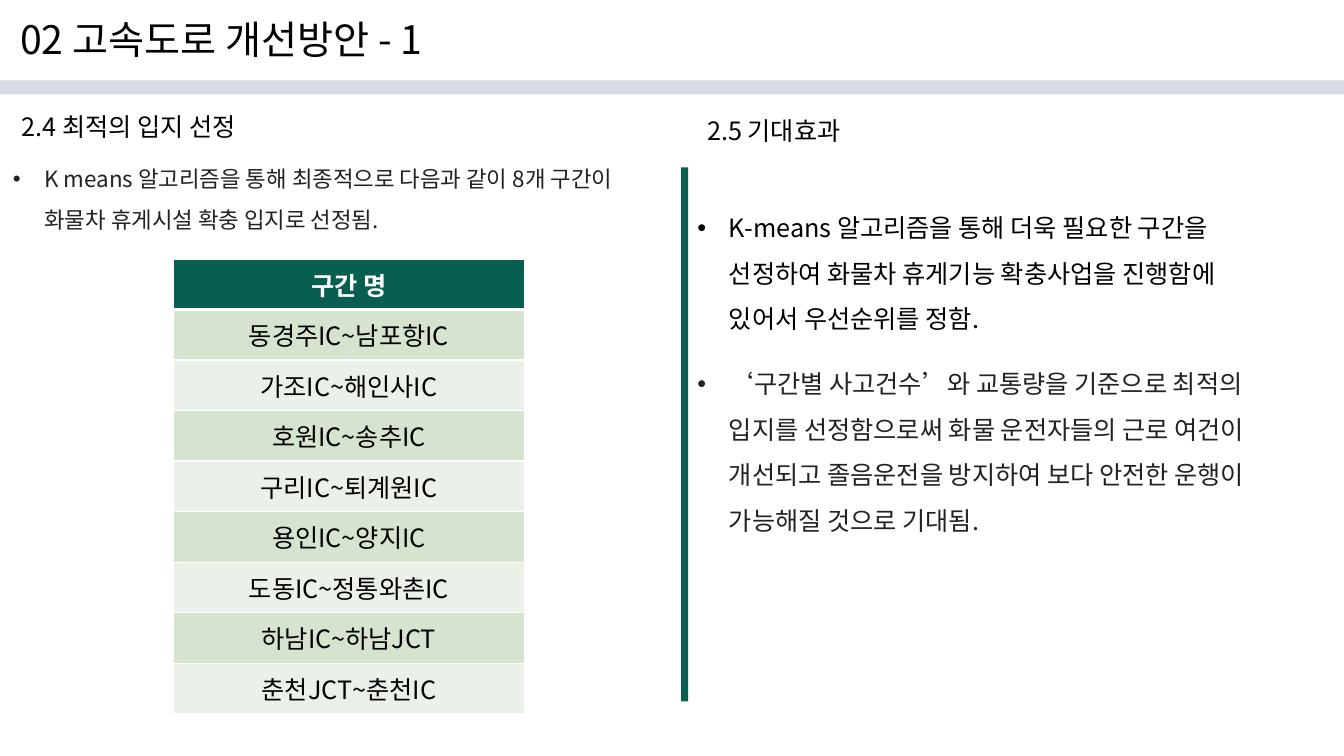
from dataclasses import dataclass

from lxml.etree import SubElement
from pptx import Presentation
from pptx.dml.color import RGBColor
from pptx.enum.shapes import MSO_SHAPE
from pptx.enum.text import MSO_ANCHOR, MSO_AUTO_SIZE, PP_ALIGN
from pptx.oxml import parse_xml
from pptx.oxml.ns import nsdecls, qn
from pptx.util import Pt

FONT = "Noto Sans CJK KR"
COLORS = {
    "black": "000000",
    "ink": "222222",
    "white": "FFFFFF",
    "green": "085F4F",
    "band_dark": "D5E3CF",
    "band_light": "EBF1E9",
    "rule": "D6DCE5",
}


@dataclass(frozen=True)
class Box:
    left: float
    top: float
    width: float
    height: float

    def points(self) -> tuple:
        return Pt(self.left), Pt(self.top), Pt(self.width), Pt(self.height)


@dataclass(frozen=True)
class Bar:
    box: Box
    color: str


@dataclass(frozen=True)
class Passage:
    box: Box
    text: str
    size: float
    color: str = "black"
    bullet: bool = False


BARS = [
    Bar(Box(0, 57.5, 960, 10), "rule"),
    Bar(Box(486.5, 119.5, 5, 381.5), "green"),
]
TITLE = Passage(Box(7.2, 7.2, 328.5, 41), "02 고속도로 개선방안 - 1", 28)
HEADINGS = [
    Passage(Box(8.6, 76, 235, 29), "2.4 최적의 입지 선정", 18),
    Passage(Box(498, 78.5, 211, 29), "2.5 기대효과", 18),
]
# Keyed by placeholder index in the Comparison layout
LISTS = {
    2: Passage(
        Box(2, 105, 469, 62),
        "K means 알고리즘을 통해 최종적으로 다음과 같이 8개 구간이 "
        "화물차 휴게시설 확충 입지로 선정됨.",
        16, "ink", True),
    3: Passage(
        Box(491, 137.5, 405.5, 101.5),
        "K-means 알고리즘을 통해 더욱 필요한 구간을 선정하여 화물차 "
        "휴게기능 확충사업을 진행함에 있어서 우선순위를 정함.",
        18, "black", True),
    4: Passage(
        Box(491, 249, 455, 134.5),
        "‘구간별 사고건수’와 교통량을 기준으로 최적의 입지를 선정함으로써 "
        "화물 운전자들의 근로 여건이 개선되고 졸음운전을 방지하여 보다 "
        "안전한 운행이 가능해질 것으로 기대됨.",
        18, "ink", True),
}
SECTION_BOX = Box(124, 185, 250.5, 324.9)
SECTIONS = [
    "구간 명",
    "동경주IC~남포항IC",
    "가조IC~해인사IC",
    "호원IC~송추IC",
    "구리IC~퇴계원IC",
    "용인IC~양지IC",
    "도동IC~정통와촌IC",
    "하남IC~하남JCT",
    "춘천JCT~춘천IC",
]


def rgb(name: str) -> RGBColor:
    return RGBColor.from_string(COLORS[name])


def style_runs(paragraph, size: float, color: str, bold: bool = False) -> None:
    for run in paragraph.runs:
        run.font.size = Pt(size)
        run.font.bold = bold
        run.font.name = FONT
        run.font.color.rgb = rgb(color)
        SubElement(run.font._element, qn("a:ea")).set("typeface", FONT)


def add_bullet(paragraph) -> None:
    properties = paragraph._p.get_or_add_pPr()
    properties.set("marL", str(Pt(22.5)))
    properties.set("indent", str(-Pt(22.5)))
    SubElement(properties, qn("a:buFont")).set("typeface", "Arial")
    SubElement(properties, qn("a:buChar")).set("char", "•")


def write(shape, passage: Passage) -> None:
    shape.left, shape.top, shape.width, shape.height = passage.box.points()
    frame = shape.text_frame
    frame.text = passage.text
    frame.word_wrap = True
    frame.auto_size = MSO_AUTO_SIZE.NONE
    frame.vertical_anchor = MSO_ANCHOR.TOP
    paragraph = frame.paragraphs[0]
    paragraph.alignment = PP_ALIGN.LEFT
    paragraph.space_before = Pt(0)
    paragraph.line_spacing = 1.5 if passage.bullet else 1.0
    if passage.bullet:
        add_bullet(paragraph)
    style_runs(paragraph, passage.size, passage.color)


def draw_bar(slide, bar: Bar) -> None:
    strip = slide.shapes.add_shape(MSO_SHAPE.RECTANGLE, *bar.box.points())
    strip.shadow.inherit = False
    strip.fill.solid()
    strip.fill.fore_color.rgb = rgb(bar.color)
    strip.line.fill.background()


def set_borders(cell, top: float, bottom: float) -> None:
    properties = cell._tc.get_or_add_tcPr()
    widths = {"lnL": 1, "lnR": 1, "lnT": top, "lnB": bottom}
    for position, (side, width) in enumerate(widths.items()):
        properties.insert(position, parse_xml(
            f'<a:{side} {nsdecls("a")} w="{Pt(width)}"><a:solidFill>'
            f'<a:srgbClr val="{COLORS["white"]}"/></a:solidFill></a:{side}>'))


def draw_sections(slide) -> None:
    table = slide.shapes.add_table(
        len(SECTIONS), 1, *SECTION_BOX.points()).table
    for row, section in enumerate(SECTIONS):
        header = row == 0
        band = "band_dark" if row % 2 else "band_light"
        table.rows[row].height = Pt(SECTION_BOX.height / len(SECTIONS))
        cell = table.cell(row, 0)
        cell.text_frame.text = section
        cell.vertical_anchor = MSO_ANCHOR.MIDDLE
        cell.fill.solid()
        cell.fill.fore_color.rgb = rgb("green" if header else band)
        set_borders(cell, 3 if row == 1 else 1, 3 if header else 1)
        paragraph = cell.text_frame.paragraphs[0]
        paragraph.alignment = PP_ALIGN.CENTER
        style_runs(paragraph, 18, "white" if header else "black", header)


def main() -> None:
    deck = Presentation()
    deck.slide_width, deck.slide_height = Pt(960), Pt(540)
    slide = deck.slides.add_slide(deck.slide_layouts.get_by_name("Comparison"))

    # Title and bulleted lists
    write(slide.shapes.title, TITLE)
    for placeholder in list(slide.placeholders):
        index = placeholder.placeholder_format.idx
        if index in LISTS:
            write(placeholder, LISTS[index])
        elif index != 0:
            placeholder._element.getparent().remove(placeholder._element)

    # Section headings
    for heading in HEADINGS:
        write(slide.shapes.add_textbox(*heading.box.points()), heading)

    # Rule under the title and column divider
    for bar in BARS:
        draw_bar(slide, bar)

    # Selected road sections
    draw_sections(slide)
    deck.save("out.pptx")


if __name__ == "__main__":
    main()
